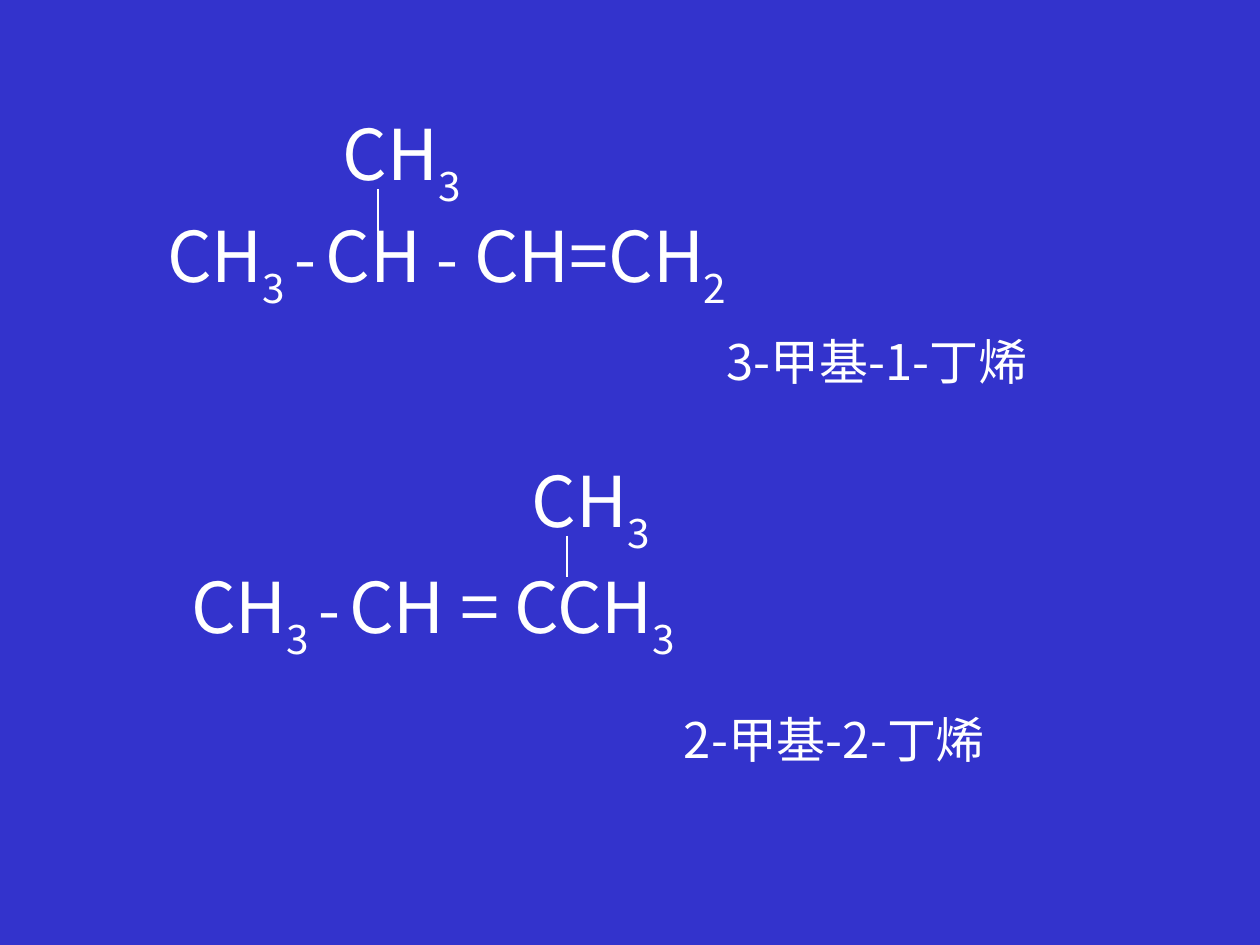
"""Build a slide with the structural formulas and names of two butenes."""
from dataclasses import dataclass

from lxml import etree
from pptx import Presentation
from pptx.dml.color import RGBColor
from pptx.enum import shapes, text
from pptx.oxml.ns import qn
from pptx.slide import Slide
from pptx.util import Inches, Pt


@dataclass(frozen=True)
class Theme:
    background: RGBColor = RGBColor(0x33, 0x33, 0xCC)
    ink: RGBColor = RGBColor(0xFF, 0xFF, 0xFF)
    font: str = "Noto Sans CJK SC"
    formula: float = 40
    dash: float = 36
    name: float = 28
    bond: float = 0.75
    subscript: int = -30


THEME = Theme()


@dataclass(frozen=True)
class Symbol:
    wording: str
    size: float = THEME.formula
    baseline: int = 0


@dataclass(frozen=True)
class Label:
    left: float
    top: float
    width: float
    height: float
    symbols: tuple[Symbol, ...]
    wrap: bool = False


@dataclass(frozen=True)
class Molecule:
    name: Label
    chain: Label
    branch: Label
    bond_x: float
    bond_top: float


def sub(wording: str) -> Symbol:
    return Symbol(wording, baseline=THEME.subscript)


DASH = Symbol("-", THEME.dash)
METHYL = (Symbol("CH"), sub("3"))
CHAIN_START = (Symbol("CH"), sub("3 "), DASH, sub(" "))
BOND_LENGTH = 0.33


def name_label(left: float, top: float, width: float, wording: str) -> Label:
    return Label(left, top, width, 0.57, (Symbol(wording, THEME.name),), wrap=True)


def formula_label(left: float, top: float, width: float, symbols: tuple[Symbol, ...]) -> Label:
    return Label(left, top, width, 0.89, symbols)


MOLECULES = (
    Molecule(
        name=name_label(5.67, 2.58, 3.33, "3-甲基-1-丁烯"),
        chain=formula_label(1.23, 1.64, 4.71,
                            (*CHAIN_START, Symbol("CH "), DASH, Symbol(" CH=CH"), sub("2"))),
        branch=formula_label(2.62, 0.83, 1.14, METHYL),
        bond_x=3, bond_top=1.5),
    Molecule(
        name=name_label(5.33, 5.58, 3.67, "2-甲基-2-丁烯"),
        chain=formula_label(1.42, 4.42, 4.14,
                            (*CHAIN_START, Symbol("CH = CCH"), sub("3"))),
        branch=formula_label(4.12, 3.58, 1.14, METHYL),
        bond_x=4.5, bond_top=4.25),
)


def draw_label(slide: Slide, label: Label) -> None:
    box = slide.shapes.add_textbox(Inches(label.left), Inches(label.top),
                                   Inches(label.width), Inches(label.height))
    frame = box.text_frame
    frame.word_wrap = label.wrap
    frame.auto_size = text.MSO_AUTO_SIZE.SHAPE_TO_FIT_TEXT
    for symbol in label.symbols:
        run = frame.paragraphs[0].add_run()
        run.text = symbol.wording
        run.font.size = Pt(symbol.size)
        run.font.color.rgb = THEME.ink
        run.font.name = THEME.font
        properties = run._r.get_or_add_rPr()
        etree.SubElement(properties, qn("a:ea"), typeface=THEME.font)
        if symbol.baseline:
            properties.set("baseline", str(symbol.baseline * 1000))


def draw_bond(slide: Slide, x: float, top: float) -> None:
    bond = slide.shapes.add_connector(shapes.MSO_CONNECTOR.STRAIGHT, Inches(x), Inches(top),
                                      Inches(x), Inches(top + BOND_LENGTH))
    bond.line.color.rgb = THEME.ink
    bond.line.width = Pt(THEME.bond)
    etree.SubElement(bond._element.spPr, qn("a:effectLst"))


def draw_molecule(slide: Slide, molecule: Molecule) -> None:
    draw_label(slide, molecule.name)
    draw_label(slide, molecule.chain)
    draw_bond(slide, molecule.bond_x, molecule.bond_top)
    draw_label(slide, molecule.branch)


def main() -> None:
    deck = Presentation()
    deck.slide_width, deck.slide_height = Inches(10), Inches(7.5)
    slide = deck.slides.add_slide(deck.slide_layouts[6])
    slide.background.fill.solid()
    slide.background.fill.fore_color.rgb = THEME.background
    for molecule in MOLECULES:
        draw_molecule(slide, molecule)
    deck.save("out.pptx")


if __name__ == "__main__":
    main()
